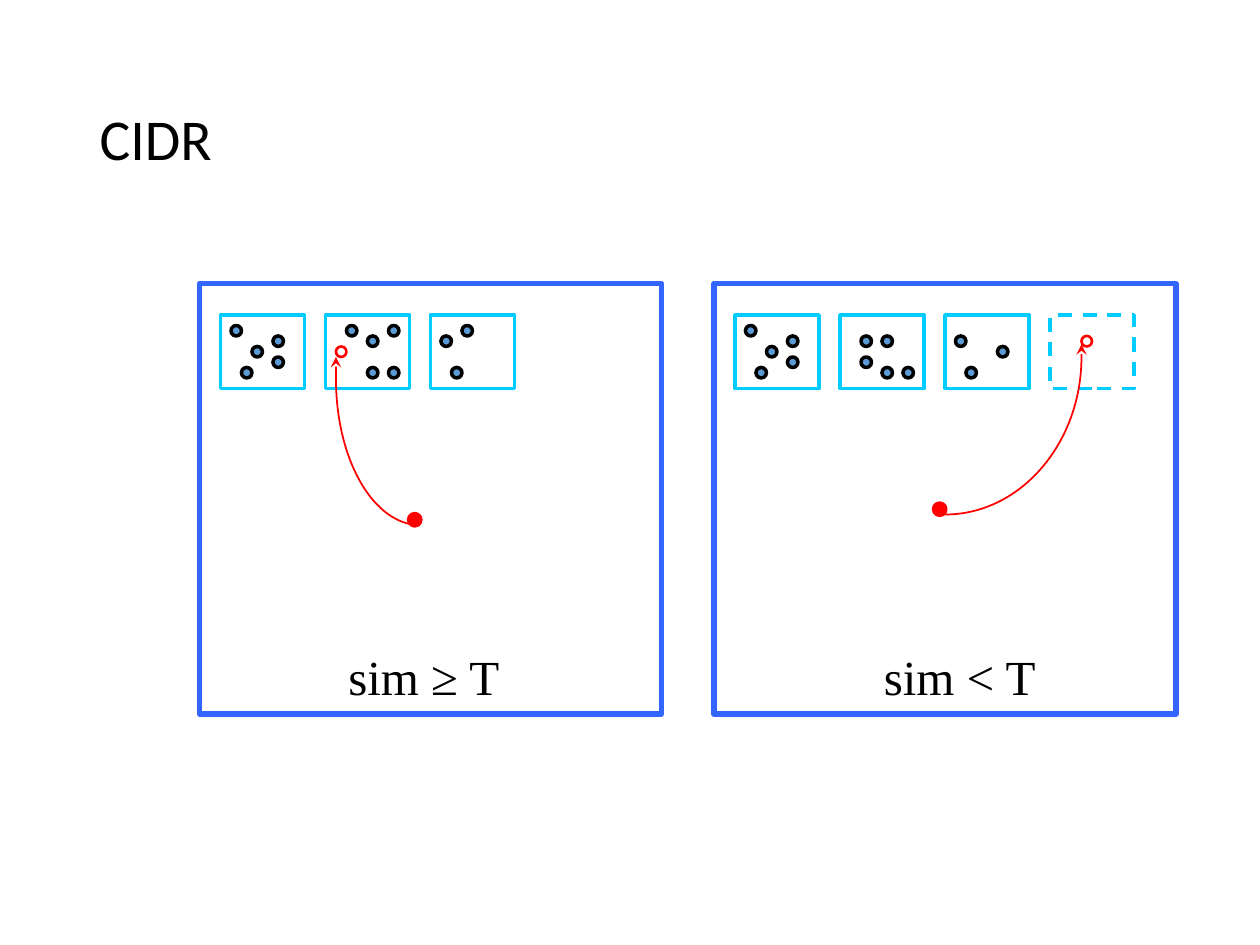
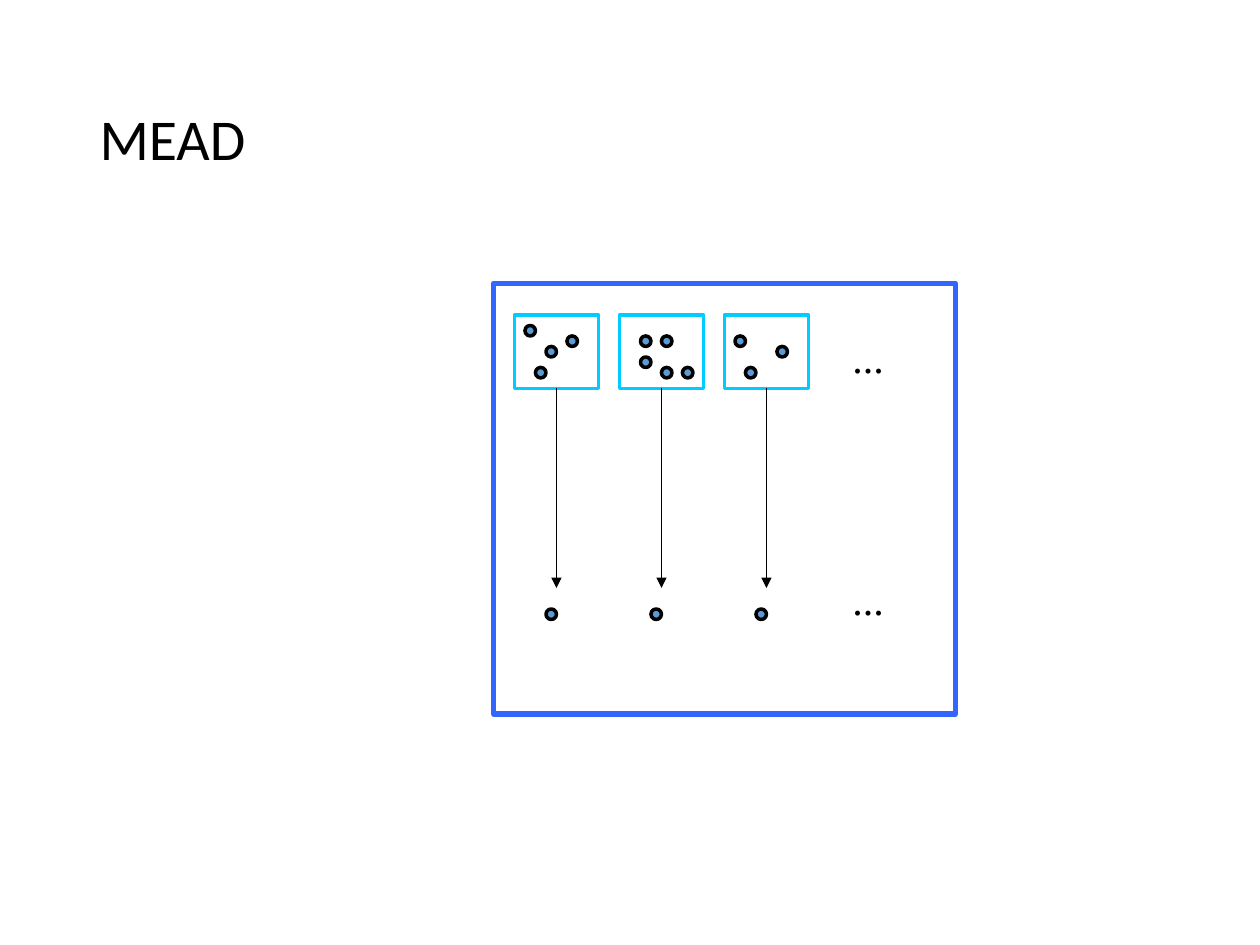
from dataclasses import dataclass

from lxml import etree
from pptx import Presentation
from pptx.dml.color import RGBColor as RGB
from pptx.enum.dml import MSO_LINE
from pptx.enum.shapes import MSO_CONNECTOR as CONN, MSO_SHAPE as SHAPE
from pptx.enum.text import MSO_ANCHOR as ANCHOR, MSO_AUTO_SIZE as AUTO, PP_ALIGN as ALIGN
from pptx.oxml.ns import qn
from pptx.util import Inches, Pt


@dataclass(frozen=True)
class Theme:
    black: RGB = RGB(0x00, 0x00, 0x00)
    frame: RGB = RGB(0x33, 0x66, 0xFF)
    cluster: RGB = RGB(0x00, 0xCC, 0xFF)
    doc: RGB = RGB(0x5B, 0x9B, 0xD5)
    new_doc: RGB = RGB(0xFF, 0x00, 0x00)
    title_font: str = "Calibri"
    label_font: str = "Times New Roman"
    title_size: int = 33
    label_size: int = 28
    dots_size: int = 24


T = Theme()

# Content: all places are in grid units of 1/12 inch.
# Documents are placed relative to their cluster box.
FIVE = [(2, 2), (4, 2), (2, 4), (4, 5), (6, 5)]
THREE = [(1, 2), (2, 5), (5, 3)]
SPREAD = [(1, 1), (3, 3), (5, 2), (2, 5)]

CIDR_PANELS = [
    dict(left=19,
         clusters=[SPREAD + [(5, 4)],
                   [(2, 1), (4, 2), (6, 1), (4, 5), (6, 5)],
                   [(1, 2), (2, 5), (3, 1)]],
         new_cluster=False,
         label=("sim ≥ T", 32, 17),
         new_doc=(39, 49), landing=(32, 33),
         curve=[(40, 50), (35.6, 50), (32, 43.8), (32, 36.1),
                (32, 35.4), (32, 34.7), (32, 34)]),
    dict(left=68,
         clusters=[SPREAD + [(5, 4)], FIVE, THREE],
         new_cluster=True,
         label=("sim < T", 83, 18),
         new_doc=(89, 48), landing=(103, 32),
         curve=[(90, 49), (97.2, 49), (103, 42.2), (103, 34),
                (103, 33.6), (103, 33.2), (103, 32.8)]),
]
MEAD_PANEL = dict(left=47, clusters=[SPREAD, FIVE, THREE])
ELLIPSIS_TOPS = [31, 54]

# Grid
FRAME_TOP, FRAME_W, FRAME_H = 27, 44, 41
BOX_TOP, BOX_W, BOX_H, BOX_PITCH, BOX_INSET = 30, 8, 7, 10, 2
LABEL_TOP, ARROW_END, CENTROID_TOP = 61, 56, 58


def u(n):
    return Inches(n / 12)


def add_shape(s, kind, x, y, w, h, color, width, fill=None):
    sp = s.shapes.add_shape(kind, u(x), u(y), u(w), u(h))
    sp.shadow.inherit = False
    style(sp, color, width, fill)
    return sp


def style(sp, color, width, fill=None):
    if fill is None:
        sp.fill.background()
    else:
        sp.fill.solid()
        sp.fill.fore_color.rgb = fill
    sp.line.color.rgb = color
    sp.line.width = Pt(width)


def add_doc(s, x, y, color=T.black, width=2, fill=T.doc):
    add_shape(s, SHAPE.OVAL, x, y, 1, 1, color, width, fill)


def add_head(line, kind):
    ln = line.line._get_or_add_ln()
    etree.SubElement(ln, qn("a:tailEnd"), type=kind)


def add_run(p, text, font, size):
    r = p.add_run()
    r.text = text
    r.font.name = font
    r.font.size = Pt(size)
    r.font.color.rgb = T.black


def add_label(s, text, x, y, w, h, size):
    tf = s.shapes.add_textbox(u(x), u(y), u(w), u(h)).text_frame
    tf.word_wrap = True
    p = tf.paragraphs[0]
    p.space_before = Pt(3)
    add_run(p, text, T.label_font, size)


def add_curve(s, points):
    """Draw a chain of cubic curves: a start, then three points for each piece."""
    start, *rest = [(u(x), u(y)) for x, y in points]
    fb = s.shapes.build_freeform(*start, scale=1.0)
    fb.add_line_segments(rest, close=False)
    sp = fb.convert_to_shape()
    sp.shadow.inherit = False
    style(sp, T.new_doc, 1)
    add_head(sp, "stealth")
    # Turn each three straight segments into one cubic curve
    path = sp._element.find(".//" + qn("a:path"))
    segments = path.findall(qn("a:lnTo"))
    for i in range(0, len(segments), 3):
        cubic = etree.SubElement(path, qn("a:cubicBezTo"))
        for seg in segments[i:i + 3]:
            cubic.append(seg[0])
            path.remove(seg)


def add_slide(prs, title):
    s = prs.slides.add_slide(prs.slide_layouts[5])
    sp = s.shapes.title
    sp.left, sp.top = Inches(0.69), Inches(0.4)
    sp.width, sp.height = Inches(8.62), Inches(1.45)
    tf = sp.text_frame
    tf.auto_size = AUTO.NONE
    tf.vertical_anchor = ANCHOR.MIDDLE
    p = tf.paragraphs[0]
    p.alignment = ALIGN.LEFT
    p.line_spacing = 0.9
    add_run(p, title, T.title_font, T.title_size)
    return s


def box_left(panel, i):
    return panel["left"] + BOX_INSET + i * BOX_PITCH


def add_box(s, panel, i):
    return add_shape(s, SHAPE.RECTANGLE, box_left(panel, i), BOX_TOP,
                     BOX_W, BOX_H, T.cluster, 2)


def add_panel(s, panel):
    """Draw the frame with its clusters; return the cluster boxes."""
    add_shape(s, SHAPE.RECTANGLE, panel["left"], FRAME_TOP,
              FRAME_W, FRAME_H, T.frame, 3)
    boxes = []
    for i, docs in enumerate(panel["clusters"]):
        boxes.append(add_box(s, panel, i))
        for dx, dy in docs:
            add_doc(s, box_left(panel, i) + dx, BOX_TOP + dy)
    return boxes


def build_cidr(prs):
    s = add_slide(prs, "CIDR")
    for panel in CIDR_PANELS:
        boxes = add_panel(s, panel)
        if panel["new_cluster"]:
            add_box(s, panel, len(boxes)).line.dash_style = MSO_LINE.DASH
        # The new document and where it lands
        add_doc(s, *panel["new_doc"], T.new_doc, 3, T.new_doc)
        add_curve(s, panel["curve"])
        text, x, w = panel["label"]
        add_label(s, text, x, LABEL_TOP, w, 6.8, T.label_size)
        add_doc(s, *panel["landing"], T.new_doc, 1.5, None)


def build_mead(prs):
    s = add_slide(prs, "MEAD")
    boxes = add_panel(s, MEAD_PANEL)
    # One arrow and one centroid below each cluster
    for i, box in enumerate(boxes):
        x = box_left(MEAD_PANEL, i)
        mid = u(x + BOX_W / 2)
        c = s.shapes.add_connector(CONN.STRAIGHT, mid, u(BOX_TOP + BOX_H),
                                   mid, u(ARROW_END))
        c.begin_connect(box, 2)
        c.line.color.rgb = T.black
        c.line.width = Pt(0.75)
        add_head(c, "triangle")
        etree.SubElement(c._element.spPr, qn("a:effectLst"))
        add_doc(s, x + 3, CENTROID_TOP)
    for top in ELLIPSIS_TOPS:
        add_label(s, "...", box_left(MEAD_PANEL, 3) + 1, top, 8, 6, T.dots_size)


def main():
    prs = Presentation()
    prs.slide_width, prs.slide_height = Inches(10), Inches(7.5)
    build_cidr(prs)
    build_mead(prs)
    prs.save("out.pptx")


if __name__ == "__main__":
    main()
